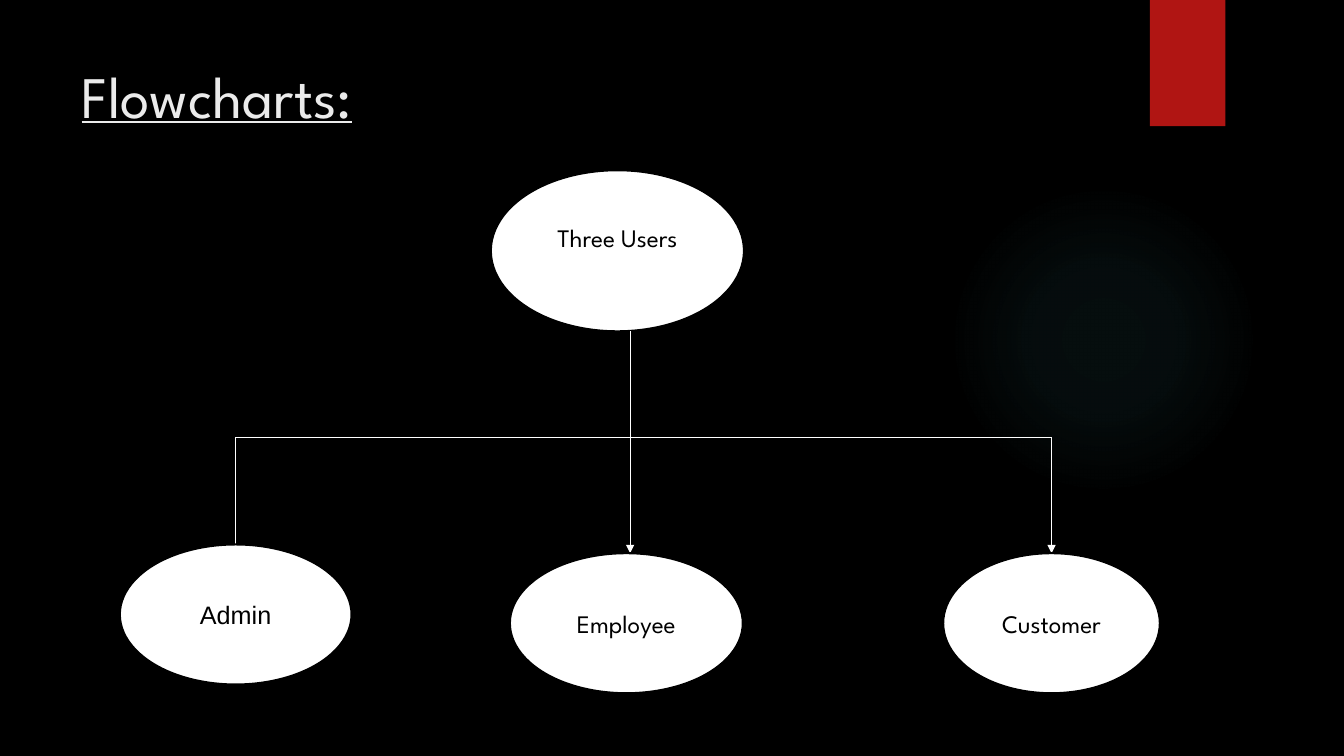
from dataclasses import dataclass

from lxml import etree
from pptx import Presentation
from pptx import util as u
from pptx.dml.color import RGBColor
from pptx.enum import shapes, text
from pptx.oxml import parse_xml
from pptx.oxml.ns import nsdecls, qn

# Content: label, font, left, top, width, height (cm)
TITLE = "Flowcharts:"
ROOT = ("Three Users", "League Spartan", 12.37, 4.29, 6.38, 4.06)
USERS = [
    ("Admin", "Arial", 3.02, 13.72, 5.84, 3.53),
    ("Employee", "League Spartan", 12.85, 13.94, 5.87, 3.53),
    ("Customer", "League Spartan", 23.77, 13.94, 5.46, 3.53),
]
TRUNK_X, BRANCH_Y, ARROW_Y = 15.88, 11.02, 13.94
ROOT_LIFT = 1.32  # extra cm below the root label
GLOW_STOPS = [(0, 7), (36, 6), (69, 0)]  # position %, opacity %


@dataclass(frozen=True)
class Theme:
    ground: str = "000000"
    node: str = "FFFFFF"
    ink: str = "000000"
    title: str = "EBEBEB"
    accent: str = "B01513"
    glow: str = "50B9C1"
    title_font: str = "League Spartan"
    title_size: int = 42
    node_size: int = 18
    node_line: float = 1.5
    link_line: float = 0.75


theme = Theme()


def rgb(code):
    return RGBColor.from_string(code)


def cm(*lengths):
    return [u.Cm(length) for length in lengths]


def add_span(para, words, font, size, color):
    span = para.add_run()
    span.text = words
    span.font.name = font
    span.font.size = u.Pt(size)
    span.font.color.rgb = rgb(color)
    return span


def add_plain(page, kind, area, color):
    shape = page.shapes.add_shape(kind, *cm(*area))
    shape.shadow.inherit = False
    shape.fill.solid()
    shape.fill.fore_color.rgb = rgb(color)
    shape.line.fill.background()
    return shape


def add_glow(page, area):
    glow = add_plain(page, shapes.MSO_SHAPE.OVAL, area, theme.glow)
    stops = "".join(
        f'<a:gs pos="{place * 1000}"><a:srgbClr val="{theme.glow}">'
        f'<a:alpha val="{opacity * 1000}"/></a:srgbClr></a:gs>'
        for place, opacity in GLOW_STOPS
    )
    gradient = parse_xml(
        f'<a:gradFill {nsdecls("a")}><a:gsLst>{stops}</a:gsLst><a:path path="circle">'
        '<a:fillToRect l="50000" t="50000" r="50000" b="50000"/></a:path></a:gradFill>'
    )
    props = glow.element.spPr
    props.replace(props.find(qn("a:solidFill")), gradient)


def add_node(page, label, font, *area):
    node = add_plain(page, shapes.MSO_SHAPE.OVAL, area, theme.node)
    node.line.color.rgb = rgb(theme.ink)
    node.line.width = u.Pt(theme.node_line)
    box = node.text_frame
    box.word_wrap = True
    box.vertical_anchor = text.MSO_ANCHOR.MIDDLE
    para = box.paragraphs[0]
    para.alignment = text.PP_ALIGN.CENTER
    add_span(para, label, font, theme.node_size, theme.ink)
    return node


def add_link(page, start, end, arrow=False):
    link = page.shapes.add_connector(
        shapes.MSO_CONNECTOR.STRAIGHT, *cm(*start), *cm(*end)
    )
    link.line.color.rgb = rgb(theme.node)
    link.line.width = u.Pt(theme.link_line)
    props = link.element.spPr
    if arrow:
        etree.SubElement(props.find(qn("a:ln")), qn("a:tailEnd"), type="triangle")
    etree.SubElement(props, qn("a:effectLst"))


def main():
    deck = Presentation()
    deck.slide_width, deck.slide_height = cm(33.87, 19.05)
    page = deck.slides.add_slide(deck.slide_layouts[5])

    # Backdrop
    page.background.fill.solid()
    page.background.fill.fore_color.rgb = rgb(theme.ground)
    add_glow(page, (23.9, 4.65, 7.82, 7.82))
    add_plain(page, shapes.MSO_SHAPE.RECTANGLE, (28.98, 0, 1.9, 3.18), theme.accent)

    # Title
    title = page.shapes.title
    title.left, title.top, title.width, title.height = cm(1.8, 1.27, 26.14, 2.24)
    title.text_frame.vertical_anchor = text.MSO_ANCHOR.MIDDLE
    para = title.text_frame.paragraphs[0]
    para.alignment = text.PP_ALIGN.LEFT
    span = add_span(para, TITLE, theme.title_font, theme.title_size, theme.title)
    span.font.underline = True

    # Root node and trunk
    root = add_node(page, *ROOT)
    root.text_frame.margin_bottom = u.Cm(0.13 + ROOT_LIFT / 2)
    fork = (TRUNK_X, BRANCH_Y)
    add_link(page, (TRUNK_X, ROOT[3] + ROOT[5]), fork)

    # Branches run behind the user nodes
    middle = USERS[1]
    for user in USERS:
        x = TRUNK_X if user is middle else user[2] + user[4] / 2
        if user is not middle:
            add_link(page, fork, (x, BRANCH_Y))
        add_link(page, (x, BRANCH_Y), (x, ARROW_Y), arrow=True)
    for user in USERS:
        add_node(page, *user)

    deck.save("out.pptx")


if __name__ == "__main__":
    main()
